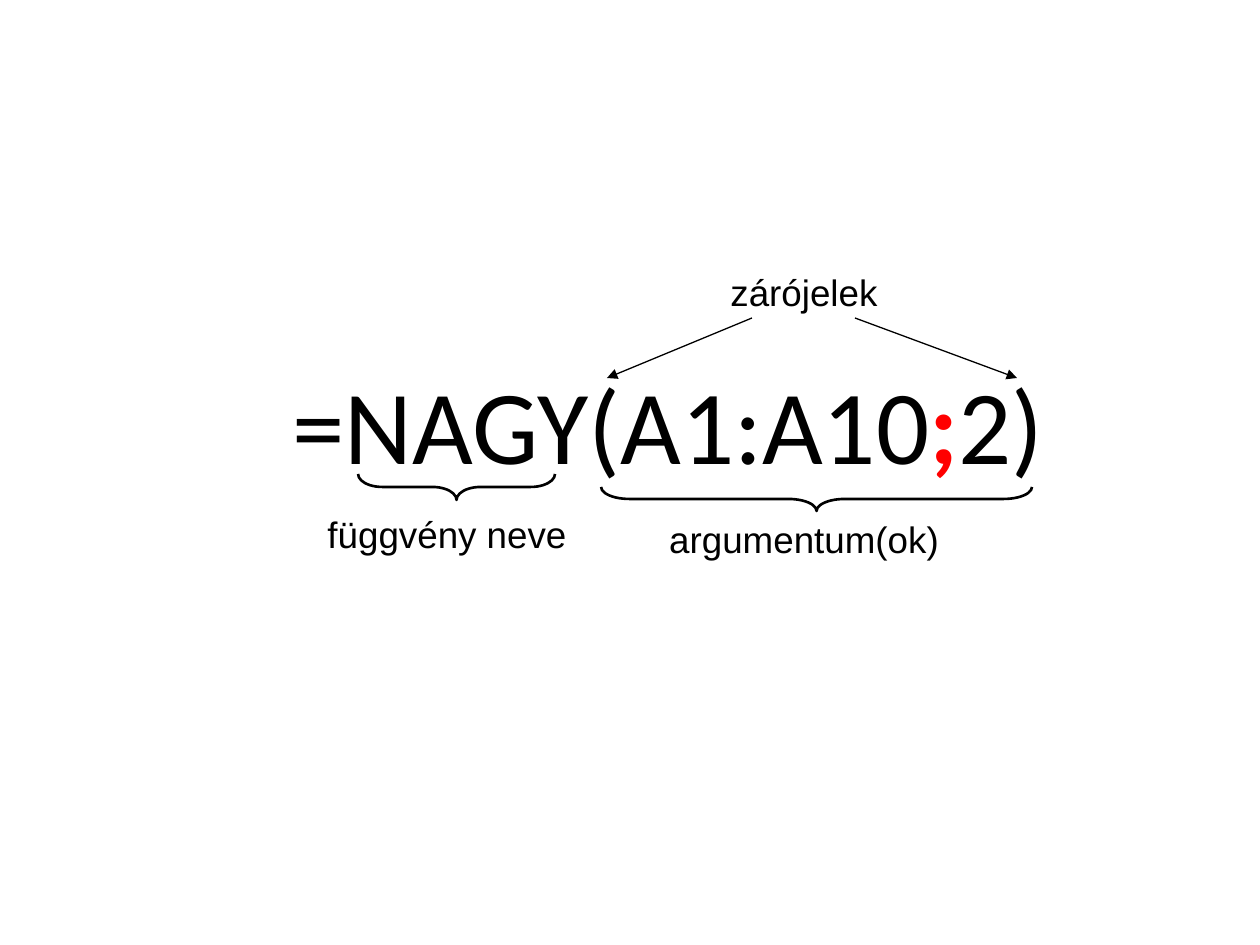
from dataclasses import dataclass
from pptx import Presentation
from pptx.dml.color import RGBColor as Rgb
from pptx.enum.shapes import MSO_CONNECTOR as Link, MSO_SHAPE as Kind
from pptx.enum.text import MSO_ANCHOR as Anchor, MSO_AUTO_SIZE as Fit, PP_ALIGN as Align
from pptx.oxml.ns import qn
from pptx.util import Pt
from lxml.etree import SubElement as Sub


@dataclass(frozen=True)
class Theme:
    ink: Rgb = Rgb(0, 0, 0)
    mark: Rgb = Rgb(255, 0, 0)
    head: str = "Calibri"
    body: str = "Arial"
    big: int = 60
    small: int = 21
    thick: float = 1.5
    thin: float = 0.75


def emu(px):
    return round(px * 914400 / 126)


class Board:
    """Draws the parts of a labelled formula on one slide."""

    def __init__(self, deck, theme):
        self.theme = theme
        self.slide = deck.slides.add_slide(deck.slide_layouts[0])
        self.shapes = self.slide.shapes
        extra = self.slide.placeholders[1].element
        extra.getparent().remove(extra)

    def font(self, font, name, size):
        font.name, font.size = name, Pt(size)
        font.color.rgb = self.theme.ink

    def title(self, box, parts, mark):
        shape = self.shapes.title
        shape.left, shape.top, shape.width, shape.height = map(emu, box)
        frame = shape.text_frame
        frame.word_wrap = True
        frame.auto_size = Fit.NONE
        frame.vertical_anchor = Anchor.BOTTOM
        para = frame.paragraphs[0]
        para.alignment = Align.LEFT
        para.line_spacing = 0.9
        self.font(para.font, self.theme.head, self.theme.big)
        for part in parts:
            run = para.add_run()
            run.text = part
            if part == mark:
                run.font.bold = True
                run.font.color.rgb = self.theme.mark

    def label(self, x, y, text):
        frame = self.shapes.add_textbox(*map(emu, (x, y, 348, 57))).text_frame
        frame.word_wrap = True
        frame.auto_size = Fit.SHAPE_TO_FIT_TEXT
        para = frame.paragraphs[0]
        para.text = text
        para.alignment = Align.CENTER
        self.font(para.font, self.theme.body, self.theme.small)

    def brace(self, x, y, wide, high, curve):
        shift = (wide - high) / 2
        box = map(emu, (x + shift, y - shift, high, wide))
        shape = self.shapes.add_shape(Kind.RIGHT_BRACE, *box)
        shape.rotation = 90
        shape.adjustments[0] = curve
        shape.shadow.inherit = False
        shape.fill.background()
        shape.line.color.rgb = self.theme.ink
        shape.line.width = Pt(self.theme.thick)

    def arrow(self, *ends):
        link = self.shapes.add_connector(Link.STRAIGHT, *map(emu, ends))
        link.line.color.rgb = self.theme.ink
        link.line.width = Pt(self.theme.thin)
        props = link.element.spPr
        Sub(props.find(qn("a:ln")), qn("a:tailEnd"), type="triangle")
        Sub(props, qn("a:effectLst"))


def main():
    deck = Presentation()
    deck.slide_width, deck.slide_height = emu(1260), emu(945)
    board = Board(deck, Theme())
    board.title((280, 195, 945, 299), ("=NAGY(A1:A10", ";", "2)"), ";")
    board.brace(358, 474, 197, 26, 0.93)
    board.label(273, 506, "függvény neve")
    board.brace(601, 487, 431, 24, 1.18)
    board.label(630, 511, "argumentum(ok)")
    board.label(630, 264, "zárójelek")
    board.arrow(752, 318, 607, 378)
    board.arrow(855, 318, 1017, 378)
    deck.save("out.pptx")


if __name__ == "__main__":
    main()
